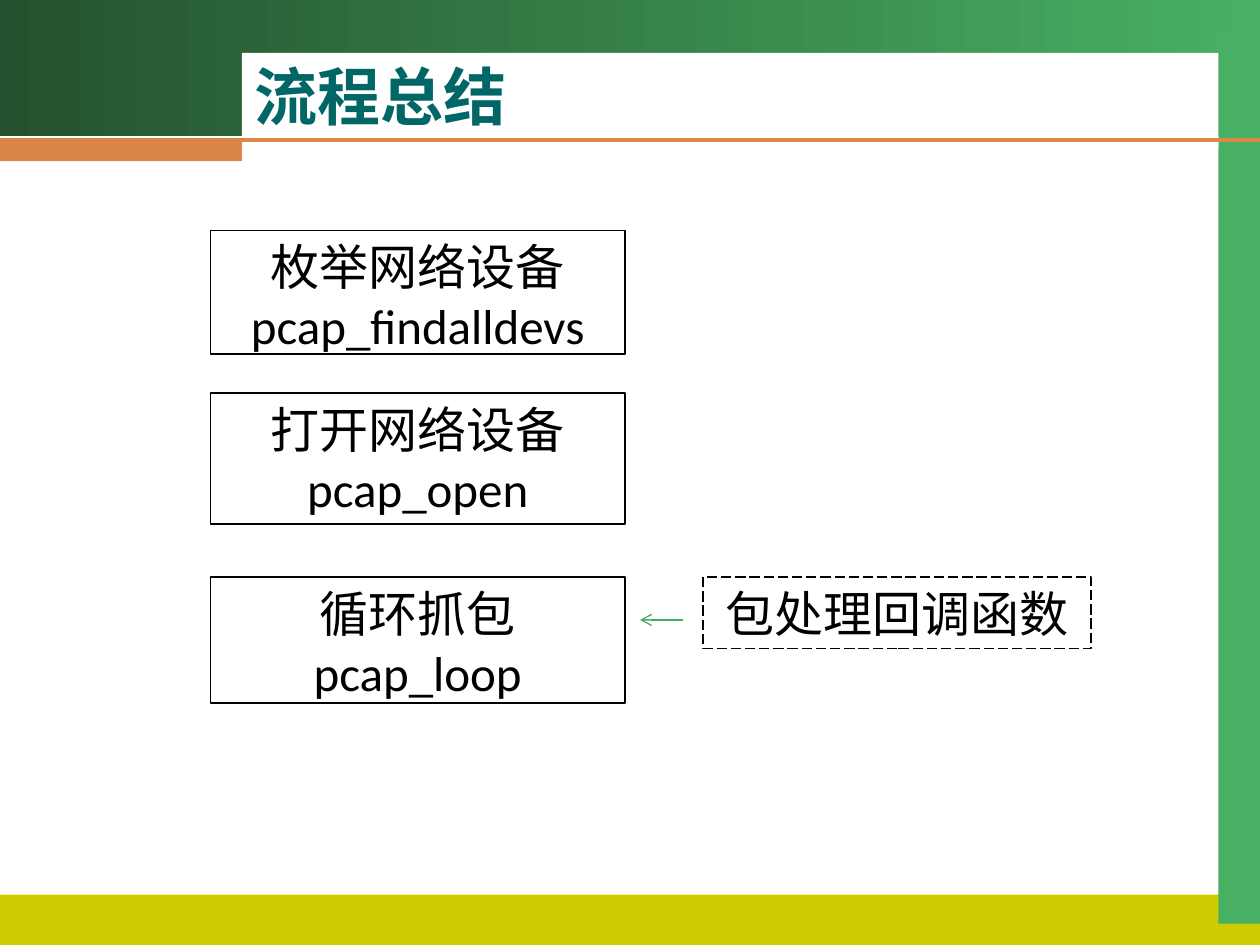
import dataclasses

import pptx
import pptx.dml.color
import pptx.enum.dml
import pptx.enum.shapes
import pptx.enum.text
import pptx.oxml
import pptx.oxml.ns
import pptx.util

Inches = pptx.util.Inches
Pt = pptx.util.Pt
Shape = pptx.enum.shapes.MSO_SHAPE
Align = pptx.enum.text.PP_ALIGN
Anchor = pptx.enum.text.MSO_ANCHOR
Fit = pptx.enum.text.MSO_AUTO_SIZE


@dataclasses.dataclass(frozen=True)
class Theme:
    dark: str = "24522E"
    green: str = "48B063"
    arrow: str = "44AF60"
    lime: str = "CCCC00"
    orange: str = "DB8647"
    teal: str = "006666"
    black: str = "000000"
    white: str = "FFFFFF"
    head: str = "Arial"
    body: str = "Calibri"
    big: int = 36
    mid: int = 28
    thin: float = 0.75
    thick: float = 2.25


def rgb(code):
    return pptx.dml.color.RGBColor.from_string(code)


class Deck:
    def __init__(self, theme):
        self.theme = theme
        self.show = pptx.Presentation()
        self.show.slide_width = Inches(10)
        self.show.slide_height = Inches(7.5)
        self.slide = self.show.slides.add_slide(self.show.slide_layouts[5])

    def text(self, frame, lines, font, size, color, align, bold=False):
        for num, line in enumerate(lines):
            para = frame.add_paragraph() if num else frame.paragraphs[0]
            para.alignment = align
            run = para.add_run()
            run.text = line
            run.font.name = font
            run.font.size = Pt(size)
            run.font.bold = bold
            run.font.color.rgb = rgb(color)

    def block(self, at, fill=None, kind=Shape.RECTANGLE):
        shape = self.slide.shapes.add_shape(kind, *map(Inches, at))
        shape.shadow.inherit = False
        shape.line.fill.background()
        if fill:
            shape.fill.solid()
            shape.fill.fore_color.rgb = rgb(fill)
        else:
            shape.fill.background()
        return shape

    def fade(self, at, first, last):
        """Add a band whose colour runs from left to right."""
        fill = self.block(at).fill
        fill.gradient()
        fill.gradient_angle = 0
        for stop, color in zip(fill.gradient_stops, (first, last)):
            stop.color.rgb = rgb(color)

    def box(self, at, lines, font, fill=None, kind=Shape.RECTANGLE, dash=None):
        shape = self.block(at, fill, kind)
        shape.line.color.rgb = rgb(self.theme.black)
        shape.line.width = Pt(self.theme.thin)
        if dash:
            shape.line.dash_style = dash
        frame = shape.text_frame
        frame.word_wrap = True
        frame.vertical_anchor = Anchor.TOP
        self.text(frame, lines, font, self.theme.mid, self.theme.black,
                  Align.CENTER)
        return shape

    def line(self, start, end, color, width, arrow=False):
        link = self.slide.shapes.add_connector(
            pptx.enum.shapes.MSO_CONNECTOR.STRAIGHT,
            *map(Inches, start + end))
        link.line.color.rgb = rgb(color)
        link.line.width = Pt(width)
        props = link._element.spPr
        space = pptx.oxml.ns.nsdecls("a")
        if arrow:
            props.get_or_add_ln().append(
                pptx.oxml.parse_xml(f'<a:tailEnd {space} type="arrow"/>'))
        props.append(pptx.oxml.parse_xml(f"<a:effectLst {space}/>"))

    def title(self, at, text):
        """Fill the title and bring it in front of the white panel."""
        shape = self.slide.shapes.title
        shape.left, shape.top, shape.width, shape.height = map(Inches, at)
        frame = shape.text_frame
        frame.auto_size = Fit.NONE
        frame.vertical_anchor = Anchor.MIDDLE
        self.text(frame, [text], self.theme.head, self.theme.big,
                  self.theme.teal, Align.LEFT, bold=True)
        self.slide.shapes._spTree.append(shape._element)


def main():
    theme = Theme()
    deck = Deck(theme)

    deck.fade((0, 0, 10, 1.08), theme.dark, theme.green)
    deck.block((0, 7.1, 10, 0.4), theme.lime)
    deck.block((9.67, 0.25, 0.33, 7.08), theme.green)
    deck.block((1.92, 0.42, 7.75, 0.75), theme.white)
    deck.line((0, 1.11), (10, 1.11), theme.orange, theme.thick)
    deck.block((0, 1.11, 1.92, 0.17), theme.orange)
    deck.title((1.92, 0.42, 7.75, 0.67), "流程总结")

    steps = [
        (1.83, 0.98, "枚举网络设备", "pcap_findalldevs"),
        (3.12, 1.04, "打开网络设备", "pcap_open"),
        (4.58, 1, "循环抓包", "pcap_loop"),
    ]
    for top, high, label, call in steps:
        deck.box((1.67, top, 3.29, high), [label, call], theme.body,
                 theme.white, Shape.FLOWCHART_PROCESS)

    note = deck.box((5.58, 4.58, 3.08, 0.57), ["包处理回调函数"], theme.head,
                    dash=pptx.enum.dml.MSO_LINE.LONG_DASH)
    note.text_frame.auto_size = Fit.SHAPE_TO_FIT_TEXT
    deck.line((5.42, 4.92), (5.08, 4.92), theme.arrow, theme.thin, arrow=True)

    deck.show.save("out.pptx")


if __name__ == "__main__":
    main()
